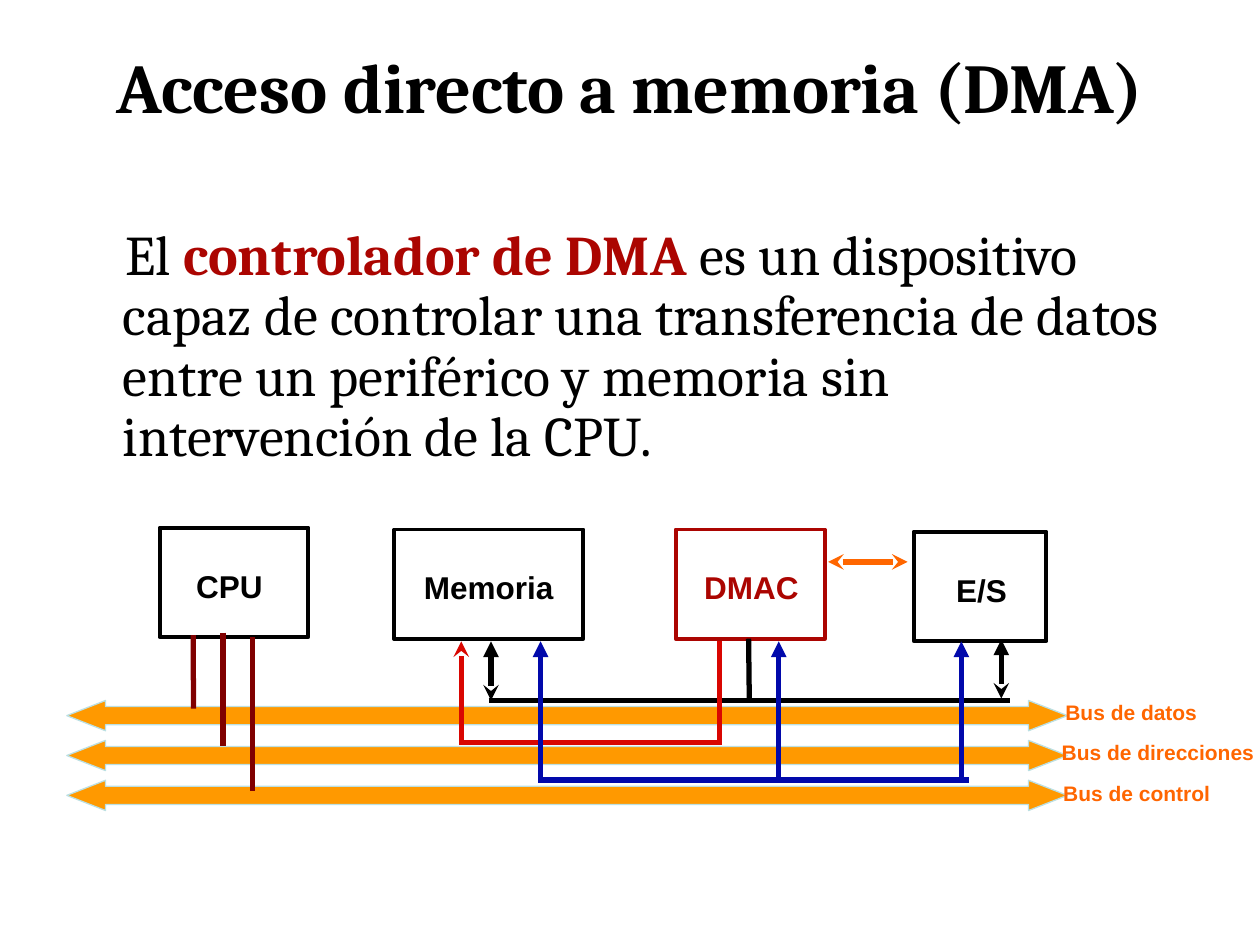
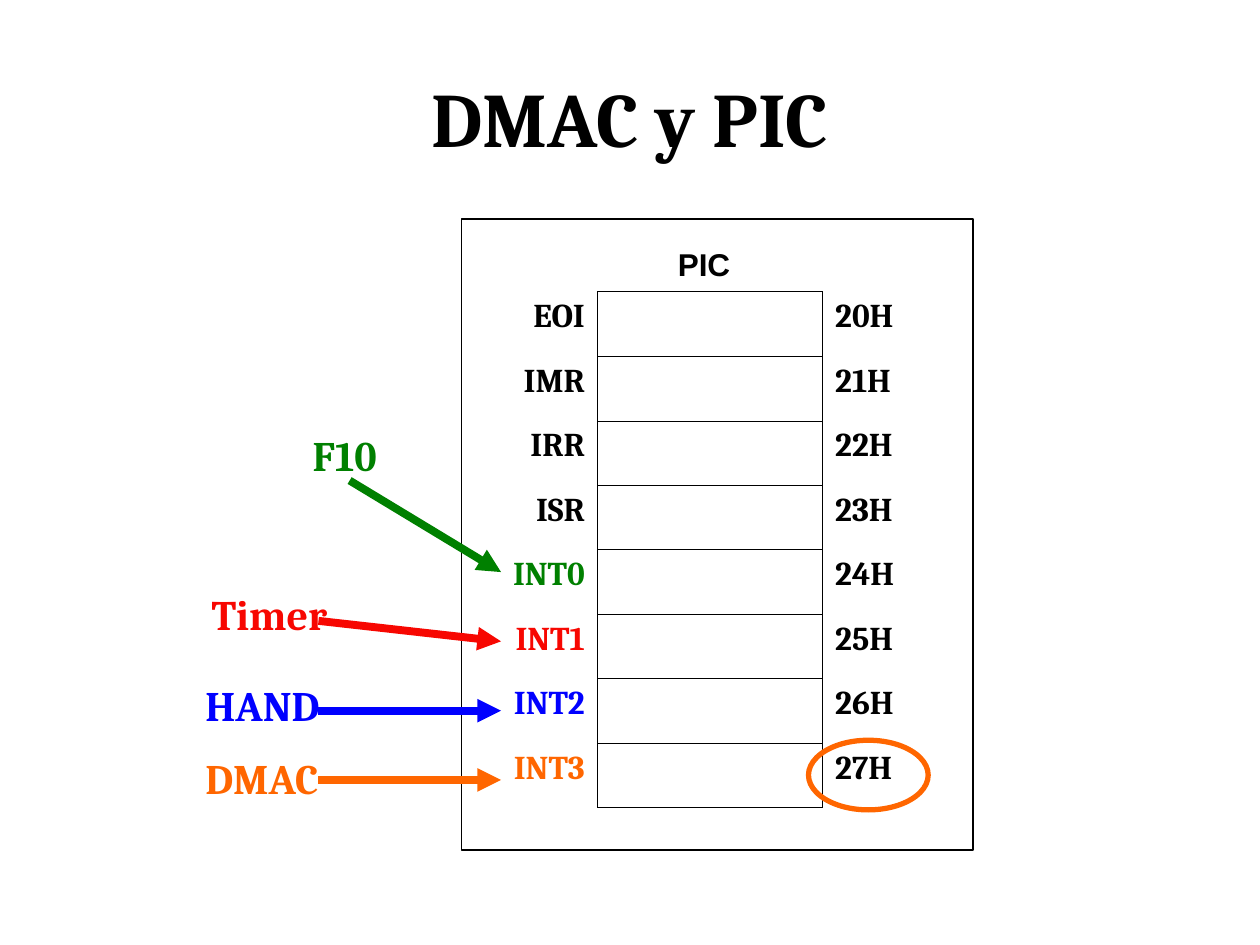
import pptx
import pptx.dml.color
import pptx.enum.shapes
import pptx.enum.text
import pptx.oxml.ns
import pptx.util
from lxml import etree

Pt = pptx.util.Pt
color = pptx.dml.color.RGBColor.from_string
qn = pptx.oxml.ns.qn
ALIGN = pptx.enum.text.PP_ALIGN
ANCHOR = pptx.enum.text.MSO_ANCHOR
SHAPE = pptx.enum.shapes.MSO_SHAPE

BLACK = "000000"
DARK_RED = "AB0501"
CPU_RED = "800000"
DATA_RED = "D90601"
NAVY = "0109AB"
ORANGE = "FF6600"
BUS_ORANGE = "FF9900"
BUS_EDGE = "BBE0E3"
GREEN = "008000"
RED = "F70701"
BLUE = "0000FF"
SERIF = "Cambria"
SANS = "Arial"
TITLE_AREA = (36, 21.6, 648, 90)


def add_text(slide, area, runs, font, size, wrap=False):
    box = slide.shapes.add_textbox(*[Pt(value) for value in area])
    frame = box.text_frame
    frame.word_wrap = wrap
    if not wrap:
        frame.auto_size = pptx.enum.text.MSO_AUTO_SIZE.SHAPE_TO_FIT_TEXT
    paragraph = frame.paragraphs[0]
    for text, hex_color, bold in runs:
        run = paragraph.add_run()
        run.text = text
        run.font.name = font
        run.font.size = Pt(size)
        run.font.bold = bold
        run.font.color.rgb = color(hex_color)
    return frame


def add_line(slide, points, hex_color, width, head=None, tail=None):
    connector = slide.shapes.add_connector(
        pptx.enum.shapes.MSO_CONNECTOR.STRAIGHT, *[Pt(value) for value in points])
    connector.line.color.rgb = color(hex_color)
    connector.line.width = Pt(width)
    properties = connector._element.spPr
    outline = properties.find(qn("a:ln"))
    for tag, kind in (("a:headEnd", head), ("a:tailEnd", tail)):
        if kind:
            etree.SubElement(outline, qn(tag), type=kind)
    etree.SubElement(properties, qn("a:effectLst"))


presentation = pptx.Presentation()
presentation.slide_width = Pt(720)
presentation.slide_height = Pt(540)
blank = presentation.slide_layouts[6]

dma_slide = presentation.slides.add_slide(blank)
pic_slide = presentation.slides.add_slide(blank)

for slide, title, size, anchor in (
    (dma_slide, "Acceso directo a memoria (DMA)", 40, ANCHOR.TOP),
    (pic_slide, "DMAC y PIC", 44, ANCHOR.MIDDLE),
):
    frame = add_text(slide, TITLE_AREA, [(title, BLACK, True)], SERIF, size, True)
    frame.vertical_anchor = anchor
    frame.paragraphs[0].alignment = ALIGN.CENTER

definition = add_text(dma_slide, (36, 126, 648, 150), [
    ("El ", BLACK, False),
    ("controlador de DMA", DARK_RED, True),
    (" es un dispositivo capaz de controlar una transferencia de datos entre un "
     "periférico y memoria sin intervención de la CPU.", BLACK, False),
], SERIF, 32, True)
paragraph = definition.paragraphs[0]
paragraph.line_spacing = 0.9
paragraph.space_before = Pt(8)
indents = paragraph._p.get_or_add_pPr()
indents.set("marL", str(Pt(27)))
indents.set("indent", str(Pt(1.7)))

for name, left, top, width, label_left, label_width, hex_color in (
    ("CPU", 91.2, 301.5, 85, 105, 54, BLACK),
    ("Memoria", 225.3, 302.6, 108, 235.2, 90, BLACK),
    ("DMAC", 386.2, 302.6, 85, 395.3, 70, DARK_RED),
    ("E/S", 522.2, 303.8, 75.8, 539.3, 45, BLACK),
):
    add_text(dma_slide, (label_left, top + 18.7, label_width, 28.8),
             [(name, hex_color, True)], SANS, 18)
    unit = dma_slide.shapes.add_shape(SHAPE.RECTANGLE, Pt(left), Pt(top), Pt(width), Pt(62.6))
    unit.shadow.inherit = False
    unit.fill.background()
    unit.line.color.rgb = color(hex_color)
    unit.line.width = Pt(2.25)

for index, (name, left, width) in enumerate((
    ("Bus de datos", 601.7, 94),
    ("Bus de direcciones", 599.6, 127),
    ("Bus de control", 600.5, 102),
)):
    bus = dma_slide.shapes.add_shape(
        SHAPE.LEFT_RIGHT_ARROW, Pt(38.2), Pt(400.3 + 22.8 * index), Pt(571.7), Pt(17.3))
    bus.adjustments[0] = 0.6
    bus.adjustments[1] = 1.28
    bus.shadow.inherit = False
    bus.fill.solid()
    bus.fill.fore_color.rgb = color(BUS_ORANGE)
    bus.line.color.rgb = color(BUS_EDGE)
    bus.line.width = Pt(0.75)
    add_text(dma_slide, (left, 396 + 23.2 * index, width, 21.6),
             [(name, ORANGE, True)], SANS, 12)

for points, hex_color, head, tail in (
    ((110.4, 363, 110.6, 405), CPU_RED, None, None),
    ((127.5, 361.5, 127.5, 426.5), CPU_RED, None, None),
    ((144.5, 364, 144.5, 451.8), CPU_RED, None, None),
    ((279.2, 400.3, 577, 400.3), BLACK, None, None),
    ((280.6, 400.3, 280.6, 366.5), BLACK, "stealth", "triangle"),
    ((572.2, 399.2, 572.2, 365.4), BLACK, "stealth", "triangle"),
    ((427.8, 365, 428.2, 400.3), BLACK, None, None),
    ((411, 366.5, 411, 424.5), DATA_RED, None, None),
    ((263.6, 366.5, 263.6, 424.5), DATA_RED, "stealth", None),
    ((262.2, 424.2, 412.4, 424.2), DATA_RED, None, None),
    ((307.5, 445.7, 554, 445.7), NAVY, None, None),
    ((308.9, 445.7, 308.9, 366.5), NAVY, None, "triangle"),
    ((549.4, 445.7, 549.4, 366.5), NAVY, None, "triangle"),
    ((445, 445.7, 445, 366.5), NAVY, None, "triangle"),
    ((473.2, 321.1, 518.6, 321.1), ORANGE, "stealth", "stealth"),
):
    add_line(dma_slide, points, hex_color, 3, head, tail)

registers = [
    ("EOI", BLACK), ("IMR", BLACK), ("IRR", BLACK), ("ISR", BLACK),
    ("INT0", GREEN), ("INT1", RED), ("INT2", BLUE), ("INT3", ORANGE),
]
last = len(registers) - 1
table = pic_slide.shapes.add_table(
    len(registers), 3, Pt(275.2), Pt(166.8), Pt(252.7), Pt(294.8)).table
table.first_row = False
table.horz_banding = False
for column, width in zip(table.columns, (66.2, 128.7, 57.8)):
    column.width = Pt(width)

for row, (name, hex_color) in enumerate(registers):
    table.rows[row].height = Pt(36.85)
    for column, (text, text_color, alignment) in enumerate((
        (name, hex_color, ALIGN.RIGHT),
        ("", BLACK, ALIGN.LEFT),
        (f"{20 + row}H", BLACK, ALIGN.LEFT),
    )):
        cell = table.cell(row, column)
        cell.fill.background()
        if text:
            paragraph = cell.text_frame.paragraphs[0]
            paragraph.alignment = alignment
            paragraph.line_spacing = 0.99
            paragraph.space_before = Pt(4.8)
            run = paragraph.add_run()
            run.text = text
            run.font.name = SERIF
            run.font.size = Pt(19)
            run.font.bold = True
            run.font.color.rgb = color(text_color)
        visible_sides = ("R", "LRTB", "L")[column]
        for position, side in enumerate("LRTB"):
            outer = (side == "T" and row == 0) or (side == "B" and row == last)
            border = etree.Element(qn("a:ln" + side), w=str(Pt(0.5 if outer else 0.23)))
            if side in visible_sides:
                fill = etree.SubElement(border, qn("a:solidFill"))
                etree.SubElement(fill, qn("a:srgbClr"), val=BLACK)
            else:
                etree.SubElement(border, qn("a:noFill"))
            cell._tc.get_or_add_tcPr().insert(position, border)

for kind, area, hex_color, line_width in (
    (SHAPE.RECTANGLE, (263.6, 125.2, 292.4, 360.5), BLACK, 0.75),
    (SHAPE.OVAL, (462, 423, 68.4, 39.8), ORANGE, 3),
):
    outline = pic_slide.shapes.add_shape(kind, *[Pt(value) for value in area])
    outline.shadow.inherit = False
    outline.fill.background()
    outline.line.color.rgb = color(hex_color)
    outline.line.width = Pt(line_width)

add_text(pic_slide, (380.2, 136.5, 48, 28.8), [("PIC", BLACK, True)], SANS, 18)

for name, hex_color, area, points in (
    ("F10", GREEN, (171.6, 241.9, 53, 36), (199.8, 274.6, 286.3, 326.9)),
    ("Timer", RED, (113.8, 332.6, 83, 36), (182, 354.8, 286.3, 366.5)),
    ("HAND", BLUE, (110.2, 384.5, 82, 36), (182, 406.1, 286.3, 406.1)),
    ("DMAC", ORANGE, (110.2, 426.5, 82, 36), (182, 445.7, 286.3, 445.7)),
):
    add_line(pic_slide, points, hex_color, 4.5, tail="triangle")
    add_text(pic_slide, area, [(name, hex_color, True)], SERIF, 24)

presentation.save("out.pptx")
